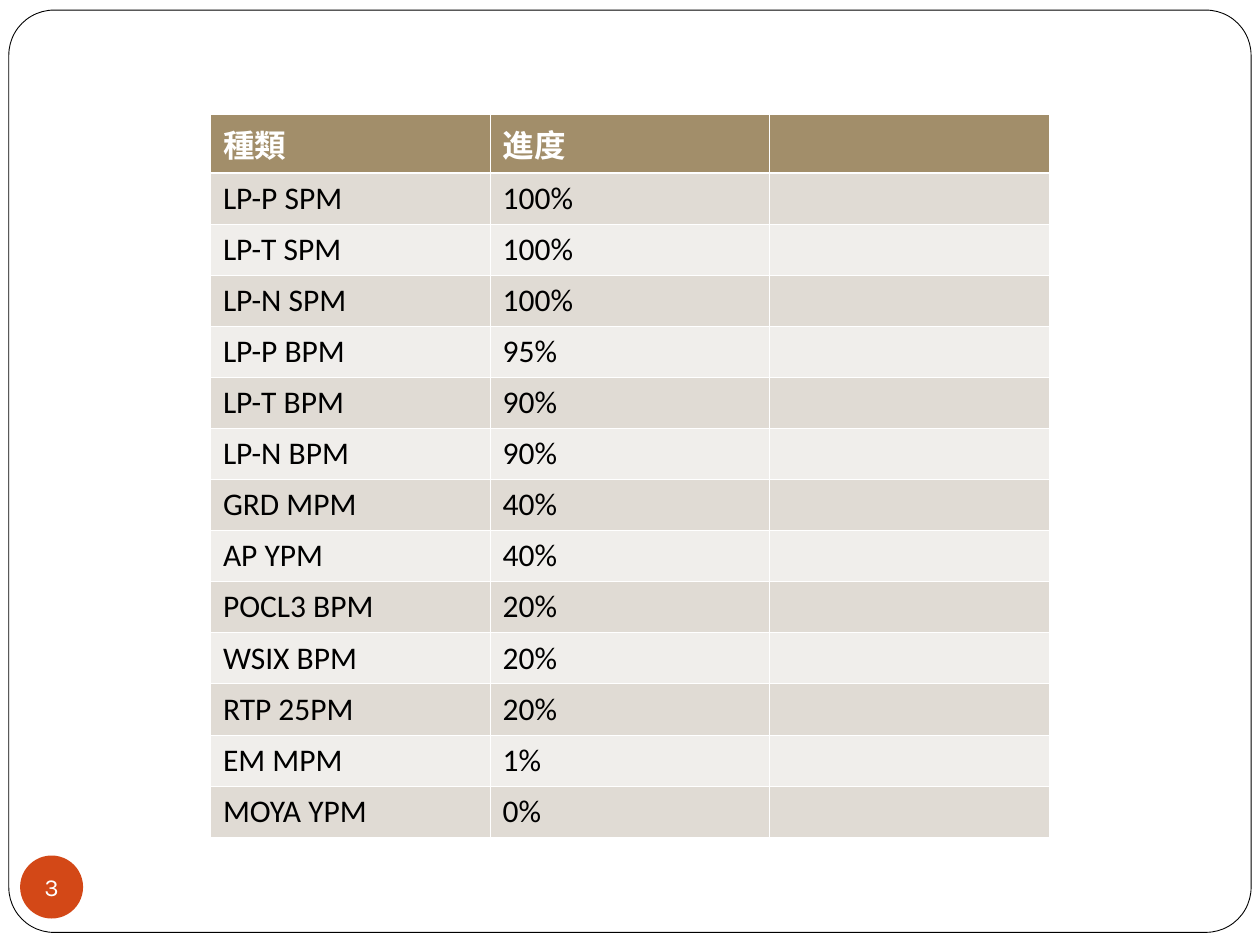
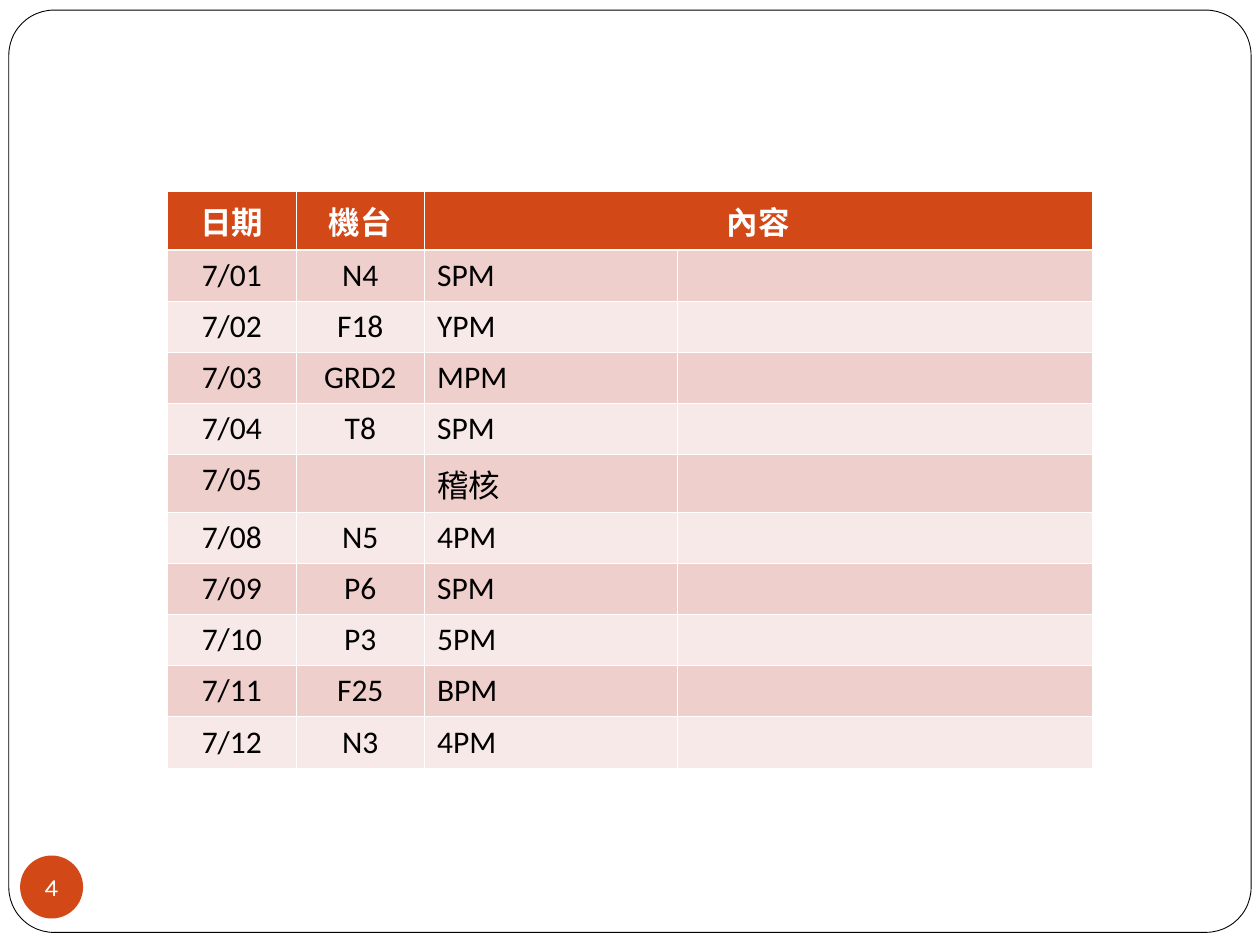
from lxml.etree import SubElement
from pptx import Presentation
from pptx.dml.color import RGBColor
from pptx.enum.shapes import MSO_SHAPE as SHAPE
from pptx.enum.text import MSO_ANCHOR as ANCHOR, PP_ALIGN as ALIGN
from pptx.oxml.ns import qn
from pptx.util import Inches, Pt

COLORS = {
    "white": "FFFFFF", "black": "000000", "orange": "D34817",
    "tan": "A28E6A", "tan_dark": "E0DBD4", "tan_light": "F0EEEB",
    "pink_dark": "EFCFCC", "pink_light": "F7E9E7",
}
TAN_THEME = ("tan", "tan_dark", "tan_light")
ORANGE_THEME = ("orange", "pink_dark", "pink_light")
ROW_HEIGHT = 0.4
THIN, THICK = 0.45, 1.47

PROGRESS = [
    ("種類", "進度"),
    ("LP-P SPM", "100%"),
    ("LP-T SPM", "100%"),
    ("LP-N SPM", "100%"),
    ("LP-P BPM", "95%"),
    ("LP-T BPM", "90%"),
    ("LP-N BPM", "90%"),
    ("GRD MPM", "40%"),
    ("AP YPM", "40%"),
    ("POCL3 BPM", "20%"),
    ("WSIX BPM", "20%"),
    ("RTP 25PM", "20%"),
    ("EM MPM", "1%"),
    ("MOYA YPM", "0%"),
]
SCHEDULE = [
    ("日期", "機台", "內容"),
    ("7/01", "N4", "SPM"),
    ("7/02", "F18", "YPM"),
    ("7/03", "GRD2", "MPM"),
    ("7/04", "T8", "SPM"),
    ("7/05", "", "稽核"),
    ("7/08", "N5", "4PM"),
    ("7/09", "P6", "SPM"),
    ("7/10", "P3", "5PM"),
    ("7/11", "F25", "BPM"),
    ("7/12", "N3", "4PM"),
]


def rgb(name):
    """Return the named palette colour."""
    return RGBColor.from_string(COLORS[name])


def set_font(p, font, size, color, bold=False):
    """Format every run of a paragraph."""
    for r in p.runs:
        r.font.name = font
        r.font.size = Pt(size)
        r.font.bold = bold
        r.font.color.rgb = rgb(color)


def add_filled(s, kind, box, fill):
    """Add a flat preset shape without an outline."""
    sp = s.shapes.add_shape(kind, *map(Inches, box))
    sp.shadow.inherit = False
    sp.fill.solid()
    sp.fill.fore_color.rgb = rgb(fill)
    sp.line.fill.background()
    return sp


def add_frame(s):
    """Add the rounded frame around the slide."""
    sp = add_filled(s, SHAPE.ROUNDED_RECTANGLE, (0.07, 0.08, 9.86, 7.32), "white")
    sp.adjustments[0] = 0.049
    sp.line.color.rgb = rgb("black")
    sp.line.width = Pt(0.5)


def add_page_number(s, number):
    """Add the round page number badge."""
    sp = add_filled(s, SHAPE.OVAL, (0.16, 6.79, 0.5, 0.5), "orange")
    tf = sp.text_frame
    tf.word_wrap = False
    tf.vertical_anchor = ANCHOR.MIDDLE
    tf.margin_left = tf.margin_right = tf.margin_top = tf.margin_bottom = 0
    tf.text = str(number)
    p = tf.paragraphs[0]
    p.alignment = ALIGN.CENTER
    set_font(p, "Karla", 14, "white")


def set_borders(cell, top, bottom):
    """Draw white borders on the four sides of a cell."""
    tc_pr = cell._tc.get_or_add_tcPr()
    for side, width in (("L", THIN), ("R", THIN), ("T", top), ("B", bottom)):
        ln = SubElement(tc_pr, qn(f"a:ln{side}"), w=str(Pt(width)))
        fill = SubElement(ln, qn("a:solidFill"))
        SubElement(fill, qn("a:srgbClr"), val=COLORS["white"])


def style_cell(cell, row, theme, centered):
    """Apply borders, banded fill and text format for a row."""
    header, dark, light = theme
    is_header = row == 0
    set_borders(cell, THICK if row == 1 else THIN, THICK if is_header else THIN)
    cell.fill.solid()
    cell.fill.fore_color.rgb = rgb(header if is_header else dark if row % 2 else light)
    p = cell.text_frame.paragraphs[0]
    p.alignment = ALIGN.CENTER if centered else ALIGN.LEFT
    set_font(p, "Calibri", 18, "white" if is_header else "black", is_header)


def add_banded_table(s, left, top, widths, rows, theme, centered=()):
    """Add a banded table; cells missing from a row stay empty."""
    table = s.shapes.add_table(
        len(rows), len(widths), Inches(left), Inches(top),
        Inches(sum(widths)), Inches(ROW_HEIGHT * len(rows))).table
    for column, width in zip(table.columns, widths):
        column.width = Inches(width)
    for i, values in enumerate(rows):
        table.rows[i].height = Inches(ROW_HEIGHT)
        for j, value in enumerate(values):
            table.cell(i, j).text = value
        for j in range(len(widths)):
            style_cell(table.cell(i, j), i, theme, j in centered)
    return table


def add_page(prs, number):
    """Add a blank slide with the shared frame and page number."""
    s = prs.slides.add_slide(prs.slide_layouts[6])
    add_frame(s)
    add_page_number(s, number)
    return s


def main():
    """Build the progress and schedule slides."""
    prs = Presentation()
    prs.slide_width, prs.slide_height = Inches(10), Inches(7.5)

    s = add_page(prs, 3)
    add_banded_table(s, 1.67, 0.91, [2.22] * 3, PROGRESS, TAN_THEME)

    s = add_page(prs, 4)
    table = add_banded_table(s, 1.33, 1.52, [1.02, 1.02, 2.01, 3.29],
                             SCHEDULE, ORANGE_THEME, centered=(0, 1))
    content = table.cell(0, 2)
    content.merge(table.cell(0, 3))
    content.text_frame.paragraphs[0].alignment = ALIGN.CENTER

    prs.save("out.pptx")


if __name__ == "__main__":
    main()
